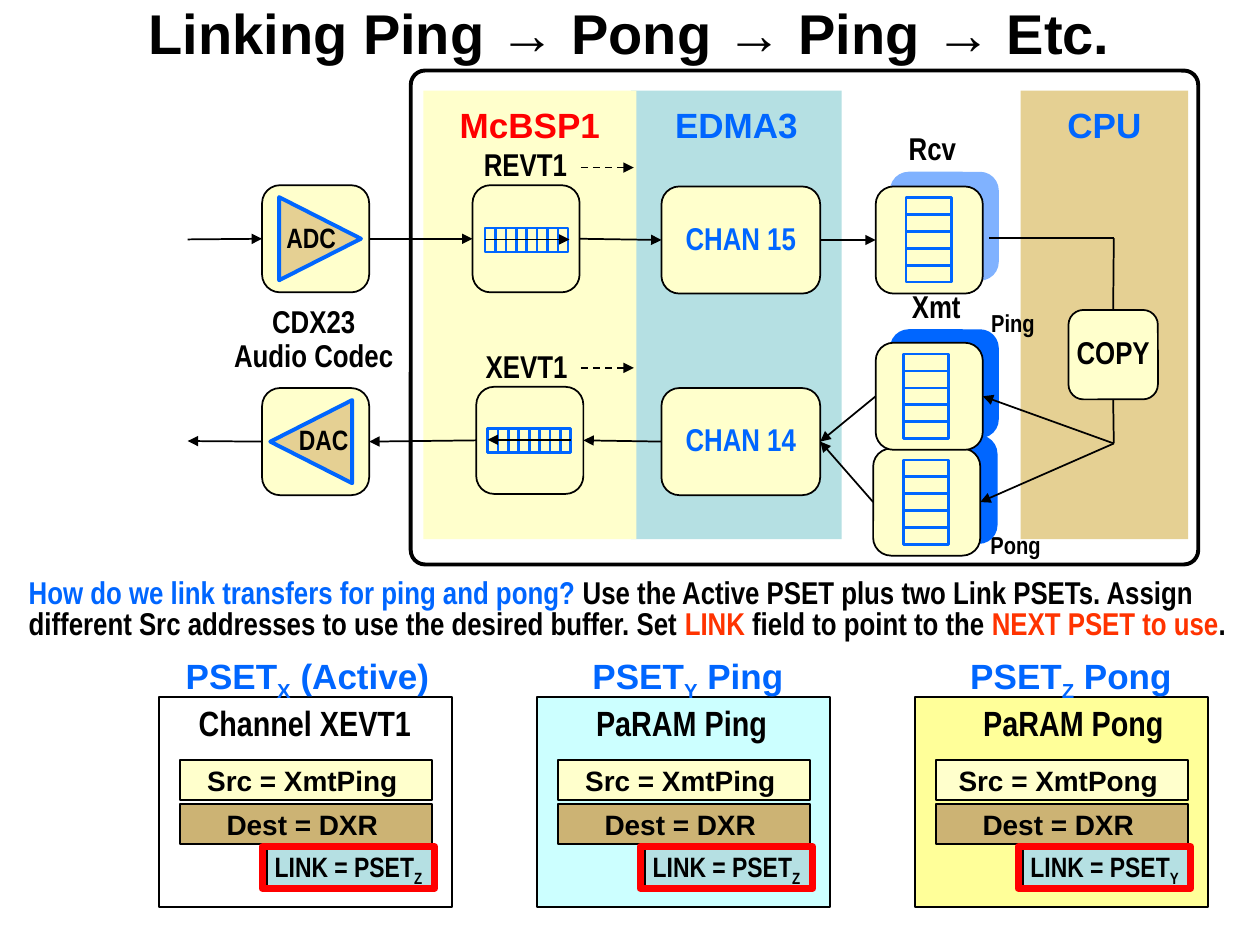
from pptx import Presentation
from pptx.dml.color import RGBColor
from pptx.enum.dml import MSO_LINE
from pptx.enum.shapes import MSO_CONNECTOR, MSO_SHAPE
from pptx.enum.text import MSO_ANCHOR, PP_ALIGN
from pptx.oxml import parse_xml
from pptx.oxml.ns import nsdecls
from pptx.util import Inches, Pt

RECT, ROUND, TRI = MSO_SHAPE.RECTANGLE, MSO_SHAPE.ROUNDED_RECTANGLE, MSO_SHAPE.ISOSCELES_TRIANGLE
TOP, MID = MSO_ANCHOR.TOP, MSO_ANCHOR.MIDDLE
LEFT, CENTER = PP_ALIGN.LEFT, PP_ALIGN.CENTER
DASH, LINE = MSO_LINE.DASH, MSO_CONNECTOR.STRAIGHT
BLACK, WHITE, BLUE, RED, ORANGE = "000000", "FFFFFF", "0066FF", "FF0000", "FF3300"
CREAM, TEAL, TAN, BROWN = "FFFFCC", "B5E0E3", "E5D093", "CCB374"
WIDE, SLIM = "Arial", "Arial Narrow"

# Content: name, text colour, fill, left, width
BANDS = [("CPU", BLUE, TAN, 8.1, 1.33),
         ("EDMA3", BLUE, TEAL, 5.01, 1.67),
         ("McBSP1", RED, CREAM, 3.36, 1.69)]
# Label lines, size, centre, top, width
LABELS = [(["Rcv"], 18, 7.4, 1.07, 0.85),
          (["Xmt"], 18, 7.43, 2.33, 0.85),
          (["REVT1"], 18, 4.17, 1.2, 1.1),
          (["XEVT1"], 18, 4.18, 2.8, 1.1),
          (["Ping"], 14, 8.04, 2.46, 0.85),
          (["Pong"], 14, 8.06, 4.22, 0.85),
          (["CDX23", "Audio Codec"], 18, 2.49, 2.58, 1.5)]
SHADES = [(7.07, 2.62), (7.06, 3.46)]
# Key: text, text colour, left, top, width, height
BOXES = {"adc": ("", BLACK, 2.08, 1.47, 0.85, 0.85),
         "dac": ("", BLACK, 2.08, 3.08, 0.85, 0.85),
         "drr": ("", BLACK, 3.75, 1.47, 0.85, 0.85),
         "dxr": ("", BLACK, 3.78, 3.07, 0.85, 0.85),
         "ch15": ("CHAN 15", BLUE, 5.25, 1.48, 1.26, 0.85),
         "ch14": ("CHAN 14", BLUE, 5.25, 3.08, 1.26, 0.85),
         "rcv": ("", BLACK, 6.95, 1.48, 0.85, 0.85),
         "pong": ("", BLACK, 6.93, 3.56, 0.85, 0.85),
         "ping": ("", BLACK, 6.95, 2.72, 0.85, 0.85),
         "copy": ("COPY", BLACK, 8.48, 2.46, 0.71, 0.71)}
# Text, triangle left, top, turn, text centre
CODECS = [("ADC", 2.21, 1.57, 90, 2.47, 1.9), ("DAC", 2.14, 3.18, 270, 2.57, 3.5)]
# Left, top, width, height, columns, rows
GRIDS = [(3.85, 1.81, 0.66, 0.19, 8, 1), (3.87, 3.4, 0.66, 0.19, 8, 1),
         (7.19, 1.57, 0.36, 0.67, 1, 5), (7.17, 2.81, 0.36, 0.67, 1, 5),
         (7.17, 3.65, 0.36, 0.67, 1, 5)]
# Ends are points or (box, side)
TURN = (8.84, 3.52)
ARROWS = [((1.49, 1.9), ("adc", 1)), (("dac", 1), (1.49, 3.5)),
          (("adc", 3), ("drr", 1)), (("drr", 3), ("ch15", 1)),
          (("ch15", 3), ("rcv", 1)), (("ping", 1), ("ch14", 3)),
          (("pong", 1), ("ch14", 3)), (("ch14", 1), ("dxr", 3)),
          (("dxr", 1), ("dac", 3)), (TURN, ("ping", 3)), (TURN, ("pong", 3)),
          ((3.85, 1.9), (4.52, 1.9)), ((4.53, 3.49), (3.87, 3.49))]
EVENTS = [((4.61, y), (5.03, y)) for y in (1.33, 2.92)]
PLAIN = [((7.85, 1.89), (8.84, 1.89)), ((8.84, 1.89), ("copy", 0)), (("copy", 2), TURN)]
NOTE = [("How do we link transfers for ping and pong? ", BLUE),
        ("Use the Active PSET plus two Link PSETs. Assign different Src addresses "
         "to use the desired buffer. Set ", BLACK),
        ("LINK", ORANGE), (" field to point to the ", BLACK),
        ("NEXT PSET to use", ORANGE), (".", BLACK)]
# Set, use, head centre, name, name centre, source, link, fill
PANELS = [("X", " (Active)", 2.44, "Channel XEVT1", 2.42, "XmtPing", "Z", None),
          ("Y", " Ping", 5.46, "PaRAM Ping", 5.41, "XmtPing", "Z", "CCFFFF"),
          ("Z", " Pong", 8.5, "PaRAM Pong", 8.52, "XmtPong", "Y", "FFFF99")]

prs = Presentation()
prs.slide_width, prs.slide_height = Inches(10), Inches(7.5)
slide = prs.slides.add_slide(prs.slide_layouts[5])
shapes = slide.shapes


def rgb(code):
    return RGBColor.from_string(code)


def write(shape, paras, size, font, gap=1.0, anchor=MID, align=CENTER, wrap=False, pad=0.05):
    """Each paragraph is a list of (text, colour[, True for subscript])."""
    frame = shape.text_frame
    frame.word_wrap, frame.vertical_anchor = wrap, anchor
    frame.margin_left = frame.margin_right = Inches(0.1)
    frame.margin_top = frame.margin_bottom = Inches(pad)
    for i, runs in enumerate(paras):
        para = frame.add_paragraph() if i else frame.paragraphs[0]
        para.alignment, para.line_spacing = align, gap
        for words, color, *sub in runs:
            run = para.add_run()
            run.text = words
            run.font.size, run.font.name, run.font.bold = Pt(size), font, True
            run.font.color.rgb = rgb(color)
            if sub:
                run.font._element.set("baseline", "-25000")


def draw(kind, x, y, w, h, fill=None, edge=BLACK, thick=1, curve=0.167):
    shape = shapes.add_shape(kind, *map(Inches, (x, y, w, h)))
    shape.shadow.inherit = False
    if kind == ROUND:
        shape.adjustments[0] = curve
    if fill:
        shape.fill.solid()
        shape.fill.fore_color.rgb = rgb(fill)
    else:
        shape.fill.background()
    if edge:
        shape.line.color.rgb, shape.line.width = rgb(edge), Pt(thick)
    else:
        shape.line.fill.background()
    return shape


def label(paras, size, x, y, w, h, font=SLIM, gap=0.9, **more):
    write(shapes.add_textbox(*map(Inches, (x, y, w, h))), paras, size, font, gap, **more)


def place(end):
    """Turn a (box, side) end into a point."""
    if end[0] not in BOXES:
        return end
    x, y, w, h = BOXES[end[0]][2:]
    return [(x + w / 2, y), (x, y + h / 2), (x + w / 2, y + h), (x + w, y + h / 2)][end[1]]


def link(start, stop, color=BLACK, thick=1, tip=False, dash=None):
    line = shapes.add_connector(LINE, *map(Inches, (*place(start), *place(stop))))
    line.line.color.rgb, line.line.width = rgb(color), Pt(thick)
    if dash:
        line.line.dash_style = dash
    if tip:
        line.line._get_or_add_ln().append(parse_xml(f'<a:tailEnd {nsdecls("a")} type="triangle"/>'))
    line._element.spPr.append(parse_xml(f'<a:effectLst {nsdecls("a")}/>'))
    for end, join in ((start, line.begin_connect), (stop, line.end_connect)):
        if end[0] in BOXES:
            join(made[end[0]], end[1])


# Title
title = shapes.title
title.left, title.top, title.width, title.height = map(Inches, (0, 0.06, 10, 0.67))
write(title, [[("Linking Ping → Pong → Ping → Etc.", BLACK)]], 32, WIDE, 0.75, TOP, wrap=True)

# Frame over the faded receive buffer, then the bands
draw(ROUND, 7.07, 1.37, 0.85, 0.85, BLUE, BLUE)
frame = draw(ROUND, 3.26, 0.56, 6.25, 3.92, WHITE, BLACK, 2.25, 0.029)
tint = frame._element.spPr.find(".//{*}solidFill/{*}srgbClr")
tint.append(parse_xml(f'<a:alpha {nsdecls("a")} val="50000"/>'))
for name, color, fill, x, w in BANDS:
    band = draw(RECT, x, 0.72, w, 3.56, fill, None)
    write(band, [[(name, color)]], 20, WIDE, anchor=TOP, pad=0.1)

# Labels, boxes, codecs
for lines, size, cx, y, w in LABELS:
    label([[(words, BLACK)] for words in lines], size, cx - w / 2, y, w, 0.24)
for x, y in SHADES:
    draw(ROUND, x, y, 0.85, 0.85, BLUE, BLUE)
made = {}
for key, (words, color, *spot) in BOXES.items():
    made[key] = draw(ROUND, *spot, CREAM)
    if words:
        write(made[key], [[(words, color)]], 18, SLIM, 0.9)
for words, x, y, turn, cx, cy in CODECS:
    draw(TRI, x, y, 0.66, 0.65, TAN, BLUE, 2.25).rotation = turn
    label([[(words, BLACK)]], 16, cx - 0.35, cy - 0.15, 0.7, 0.3)

# Registers and buffers
for x, y, w, h, cols, rows in GRIDS:
    draw(RECT, x, y, w, h, CREAM, BLUE, 1.5)
    for i in range(1, cols):
        link((x + i * w / cols, y), (x + i * w / cols, y + h), BLUE, 1.5)
    for i in range(1, rows):
        link((x, y + i * h / rows), (x + w, y + i * h / rows), BLUE, 1.5)

# Data flow
for ends in PLAIN:
    link(*ends)
for ends in ARROWS:
    link(*ends, tip=True)
for ends in EVENTS:
    link(*ends, tip=True, dash=DASH)

# Note
label([NOTE], 18, 0.13, 4.56, 9.87, 0.58, gap=0.8, anchor=TOP, align=LEFT, wrap=True)

# Parameter sets
for i, (unit, use, mid, name, cx, src, nxt, fill) in enumerate(PANELS):
    x = 1.26 + 3 * i
    draw(RECT, x, 5.53, 2.33, 1.67, fill)
    head = [("PSET", BLUE), (unit, BLUE, True), (use, BLUE)]
    label([head], 20, mid - 1.25, 5.18, 2.5, 0.37, WIDE, 0.8, anchor=TOP)
    label([[(name, BLACK)]], 20, cx - 1.1, 5.58, 2.2, 0.37, gap=0.8, anchor=TOP)
    rows = [(0.17, 6.03, 2, CREAM, WIDE, [(f"Src = {src} ", BLACK)]),
            (0.17, 6.38, 2, BROWN, WIDE, [("Dest = DXR ", BLACK)]),
            (0.86, 6.73, 1.32, TEAL, SLIM, [("LINK = PSET", BLACK), (f"{nxt} ", BLACK, True)])]
    for dx, y, w, tone, font, runs in rows:
        write(draw(RECT, x + dx, y, w, 0.32, tone), [runs], 16, font)
    draw(RECT, x + 0.82, 6.72, 1.37, 0.33, None, RED, 4)

prs.save("out.pptx")
